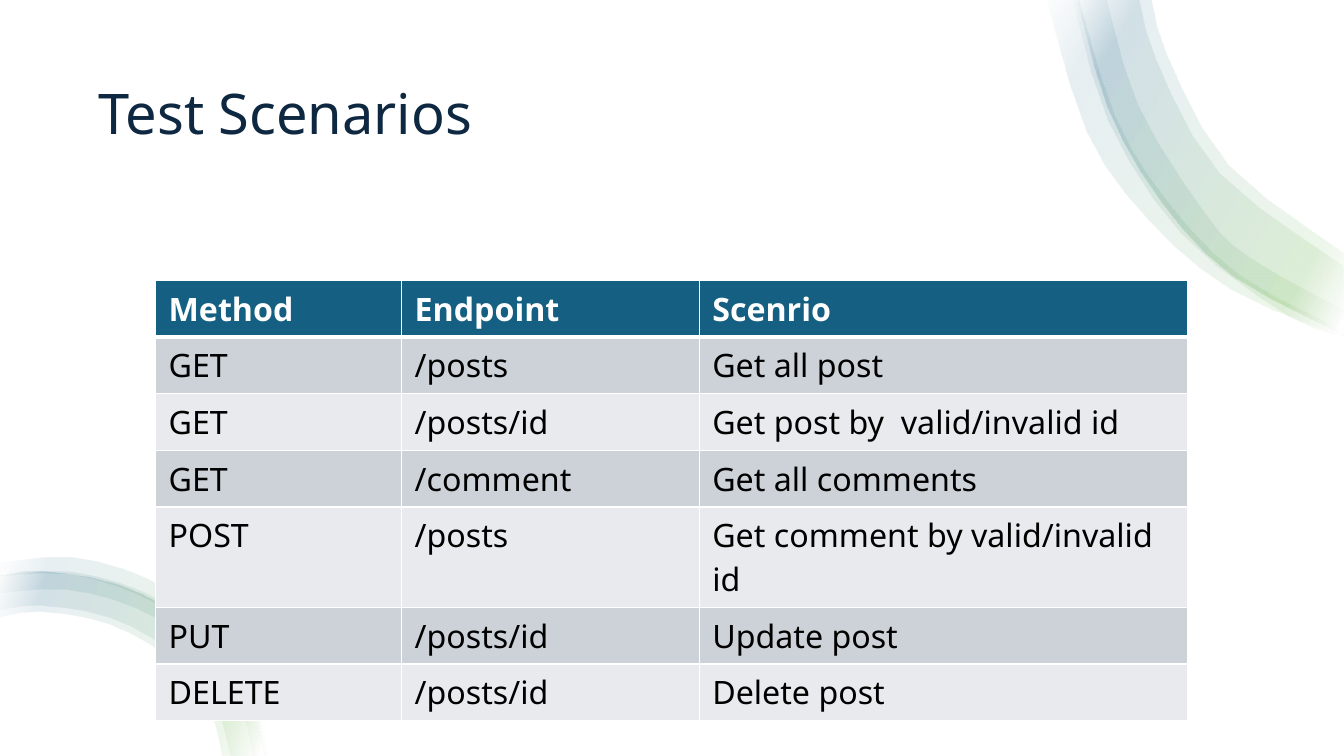
"""Build the Test Scenarios slide: a table of requests between two translucent swooshes."""
from dataclasses import dataclass

from lxml import etree
from pptx import Presentation
from pptx.dml.color import RGBColor
from pptx.enum import shapes, text
from pptx.oxml import ns
from pptx.util import Cm, Pt


@dataclass(frozen=True)
class Theme:
    font: str = "Noto Sans"
    title_size: int = 40
    table_size: int = 23
    title: str = "0E2841"
    header: str = "156082"
    body: str = "000000"
    white: str = "FFFFFF"
    bands: tuple = ("CCD2D8", "E8EAED")
    swoosh: tuple = ((2, "FFFFFF"), (16, "4EA72E"), (85, "156082"), (100, "FFFFFF"))
    swoosh_opacity: int = 10


THEME = Theme()
GRID = Cm(2.54) / 100
CURVE_STEPS = 3

SCENARIOS = [
    ("Method", "Endpoint", "Scenrio"),
    ("GET", "/posts", "Get all post"),
    ("GET", "/posts/id", "Get post by  valid/invalid id"),
    ("GET", "/comment", "Get all comments"),
    ("POST", "/posts", "Get comment by valid/invalid id"),
    ("PUT", "/posts/id", "Update post"),
    ("DELETE", "/posts/id", "Delete post"),
]

TOP_RIM = [(1333, 332), (1223, 274), (1152, 200), (1099, 107), (1067, -9)]
BOTTOM_RIM = [(263, 750), (236, 669), (185, 616), (117, 580), (40, 567), (0, 572)]

TOP_BANDS = [
    ([(1333, 335), (1221, 287), (1140, 219), (1078, 131), (1036, -9)],
     [(1068, -9), (1106, 115), (1159, 201), (1230, 273), (1333, 328)]),
    (TOP_RIM, [(1141, -9), (1158, 55), (1219, 164), (1333, 251)]),
    ([(1333, 333), (1279, 314), (1173, 233), (1099, 119), (1063, -9)],
     [(1096, -9), (1129, 104), (1195, 211), (1239, 255), (1333, 308)]),
    (TOP_RIM, [(1129, -9), (1147, 59), (1210, 172), (1333, 264)]),
]

BOTTOM_BANDS = [
    (BOTTOM_RIM, [(0, 613), (40, 607), (107, 619), (166, 652), (206, 700), (220, 750)]),
    (BOTTOM_RIM, [(0, 606), (40, 601), (109, 613), (170, 647), (212, 697), (228, 750)]),
    ([(263, 750), (247, 685), (203, 627), (142, 587), (69, 567), (0, 571)],
     [(0, 588), (67, 585), (134, 603), (192, 639), (234, 691), (251, 750)]),
    ([(264, 750), (250, 687), (210, 623), (148, 575), (71, 553), (0, 559)],
     [(0, 572), (69, 570), (139, 591), (200, 631), (245, 689), (262, 750)]),
]


def rgb(value):
    """Turn a hex string into a colour."""
    return RGBColor.from_string(value)


def add_node(parent, tag, **attributes):
    """Append a DrawingML element."""
    return etree.SubElement(parent, ns.qn(tag), attributes)


def style_runs(paragraph, size, color, bold=False):
    """Format every run of a paragraph."""
    for run in paragraph.runs:
        run.font.name = THEME.font
        run.font.size = Pt(size)
        run.font.bold = bold
        run.font.color.rgb = rgb(color)


def smooth_curve(anchors):
    """Sample a Catmull-Rom curve through the anchors."""
    padded = [anchors[0], *anchors, anchors[-1]]
    samples = [anchors[0]]
    for before, start, end, after in zip(padded, padded[1:], padded[2:], padded[3:]):
        for step in range(1, CURVE_STEPS + 1):
            t = step / CURVE_STEPS
            samples.append(tuple(
                (2 * b + (c - a) * t + (2 * a - 5 * b + 4 * c - d) * t ** 2
                 + (3 * b - a - 3 * c + d) * t ** 3) / 2
                for a, b, c, d in zip(before, start, end, after)))
    return samples


def fill_swoosh(band, angle):
    """Give a band the translucent white, green and blue gradient."""
    band.fill.gradient()
    band.fill.gradient_angle = angle
    stops = band.element.spPr.find(ns.qn("a:gradFill")).find(ns.qn("a:gsLst"))
    for stop in list(stops):
        stops.remove(stop)
    for position, color in THEME.swoosh:
        stop = add_node(stops, "a:gs", pos=str(position * 1000))
        tint = add_node(stop, "a:srgbClr", val=color)
        add_node(tint, "a:alpha", val=str(THEME.swoosh_opacity * 1000))


def add_band(slide, outer, inner, angle):
    """Draw one curved band between its outer and inner edges."""
    outline = [(round(x * GRID), round(y * GRID))
               for x, y in smooth_curve(outer) + smooth_curve(inner)]
    builder = slide.shapes.build_freeform(*outline[0])
    builder.add_line_segments(outline[1:], close=True)
    band = builder.convert_to_shape()
    band.shadow.inherit = False
    band.line.fill.background()
    fill_swoosh(band, angle)


def add_title(slide, wording):
    """Place and format the title placeholder."""
    title = slide.shapes.title
    title.left, title.top, title.width, title.height = Cm(2.23), Cm(1.27), Cm(29.4), Cm(3.3)
    frame = title.text_frame
    frame.text = wording
    frame.word_wrap = True
    frame.vertical_anchor = text.MSO_ANCHOR.MIDDLE
    heading = frame.paragraphs[0]
    heading.alignment = text.PP_ALIGN.LEFT
    heading.line_spacing = 0.9
    style_runs(heading, THEME.title_size, THEME.title)


def add_backdrop(slide, width, height):
    """Lay a white sheet behind the title."""
    backdrop = slide.shapes.add_shape(shapes.MSO_SHAPE.RECTANGLE, 0, 0, width, height)
    backdrop.shadow.inherit = False
    backdrop.fill.solid()
    backdrop.fill.fore_color.rgb = rgb(THEME.white)
    backdrop.line.fill.background()
    slide.shapes.title.element.addprevious(backdrop.element)


def add_borders(properties, row):
    """Rule a cell in white, with a thicker rule under the header."""
    widths = {"L": 1, "R": 1, "T": 3 if row == 1 else 1, "B": 3 if row == 0 else 1}
    for place, (side, width) in enumerate(widths.items()):
        rule = etree.Element(ns.qn(f"a:ln{side}"), w=str(int(Pt(width))))
        add_node(add_node(rule, "a:solidFill"), "a:srgbClr", val=THEME.white)
        properties.insert(place, rule)


def add_scenarios(slide, rows, widths):
    """Build the scenario table."""
    row_height = Cm(1.42)
    frame = slide.shapes.add_table(len(rows), len(widths), Cm(3.92), Cm(7.07),
                                   sum(widths), row_height * len(rows))
    table = frame.table
    table.horz_banding = False
    for column, width in zip(table.columns, widths):
        column.width = width
    for index, row in enumerate(rows):
        table.rows[index].height = row_height
        header = index == 0
        for column, wording in enumerate(row):
            cell = table.cell(index, column)
            cell.margin_left = cell.margin_right = Cm(0.33)
            cell.margin_top = cell.margin_bottom = Cm(0.16)
            cell.fill.solid()
            cell.fill.fore_color.rgb = rgb(THEME.header if header else THEME.bands[(index - 1) % 2])
            cell.text_frame.text = wording
            style_runs(cell.text_frame.paragraphs[0], THEME.table_size,
                       THEME.white if header else THEME.body, header)
    for index, properties in enumerate(frame.element.iter(ns.qn("a:tcPr"))):
        add_borders(properties, index // len(widths))


def main():
    """Assemble and save the slide."""
    deck = Presentation()
    deck.slide_width, deck.slide_height = Cm(33.87), Cm(19.05)
    slide = deck.slides.add_slide(deck.slide_layouts[5])
    add_backdrop(slide, deck.slide_width, deck.slide_height)
    add_title(slide, "Test Scenarios")
    for bands, angle in ((TOP_BANDS, 150), (BOTTOM_BANDS, 160)):
        for outer, inner in bands:
            add_band(slide, outer, inner, angle)
    add_scenarios(slide, SCENARIOS, [Cm(6.2), Cm(7.5), Cm(12.32)])
    deck.save("out.pptx")


if __name__ == "__main__":
    main()
